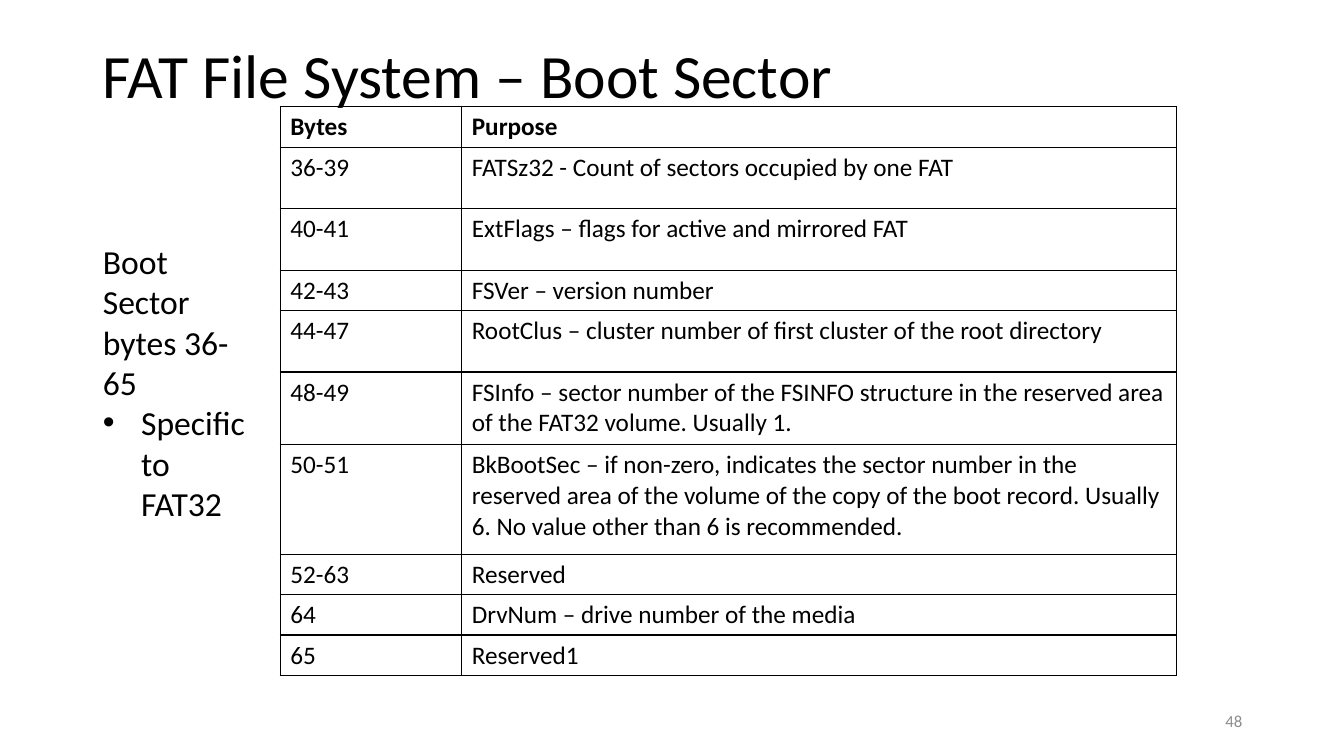
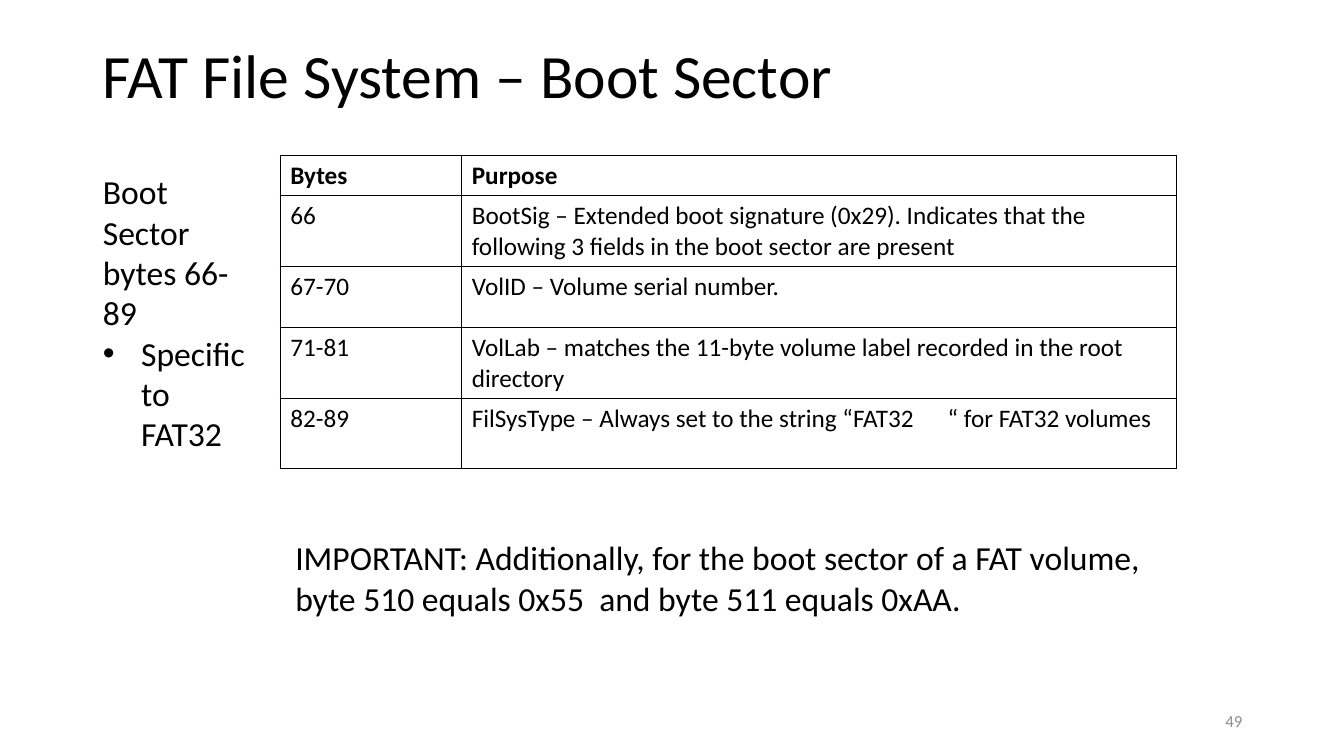
import pptx
import pptx.dml.color
import pptx.enum.text
import pptx.oxml.ns
import pptx.util
from lxml import etree

BLACK = pptx.dml.color.RGBColor(0x00, 0x00, 0x00)
GRAY = pptx.dml.color.RGBColor(0x8C, 0x8C, 0x8C)
PX = 9144
ALIGN = pptx.enum.text.PP_ALIGN
ANCHOR = pptx.enum.text.MSO_ANCHOR
FIT = pptx.enum.text.MSO_AUTO_SIZE
COLS = (180, 709)
HEAD = ("Bytes", "Purpose")


def px(num):
    return pptx.util.Emu(num * PX)


def tag(root, name, **attrs):
    return etree.SubElement(root, pptx.oxml.ns.qn("a:" + name), attrs)


class Deck:
    """Holds the shared style and the slide being built."""

    def __init__(self):
        self.prs = pptx.Presentation()
        self.prs.slide_width = px(1333)
        self.prs.slide_height = px(750)
        self.slide = None

    def place(self, shape, box):
        for name, num in zip(("left", "top", "width", "height"), box):
            setattr(shape, name, px(num))

    def fill(self, frame, lines, size, color=BLACK, bold=False, **form):
        style = {"alignment": ALIGN.LEFT, "line_spacing": 1.0,
                 "space_before": pptx.util.Pt(0), **form}
        font = {"name": "Calibri", "size": pptx.util.Pt(size), "bold": bold}
        frame.text = "\n".join(lines)
        for para in frame.paragraphs:
            for name, value in style.items():
                setattr(para, name, value)
            for run in para.runs:
                for name, value in font.items():
                    setattr(run.font, name, value)
                run.font.color.rgb = color

    def frame(self, frame, anchor=ANCHOR.TOP, fit=FIT.NONE):
        style = {"word_wrap": True, "vertical_anchor": anchor, "auto_size": fit}
        for name, value in style.items():
            setattr(frame, name, value)

    def start(self, title, page):
        self.slide = self.prs.slides.add_slide(self.prs.slide_layouts[1])
        head = self.slide.shapes.title
        self.place(head, (92, 40, 1150, 145))
        self.frame(head.text_frame)
        self.fill(head.text_frame, [title], 44, line_spacing=0.9)
        self.text((942, 695, 300, 40), page, 12, GRAY, ANCHOR.MIDDLE,
                  alignment=ALIGN.RIGHT)

    def text(self, box, words, size, color=BLACK, anchor=ANCHOR.TOP, **form):
        frame = self.slide.shapes.add_textbox(*map(px, box)).text_frame
        self.frame(frame, anchor)
        self.fill(frame, [words], size, color, **form)

    def list(self, top, lead, point):
        body = self.slide.placeholders[1]
        self.place(body, (92, top, 168, 293))
        self.frame(body.text_frame, fit=FIT.SHAPE_TO_FIT_TEXT)
        self.fill(body.text_frame, [lead, point], 24)
        for para, dent in zip(body.text_frame.paragraphs, (0, 38)):
            props = para._p.get_or_add_pPr()
            props.set("marL", str(dent * PX))
            props.set("indent", str(-dent * PX))
            if dent:
                tag(props, "buFont", typeface="Arial")
                tag(props, "buChar", char="•")
            else:
                tag(props, "buNone")

    def border(self, cell):
        props = cell._tc.get_or_add_tcPr()
        for side in ("lnL", "lnR", "lnT", "lnB"):
            line = tag(props, side, w=str(pptx.util.Pt(1)))
            tag(tag(line, "solidFill"), "srgbClr", val=str(BLACK))

    def table(self, top, highs, rows):
        rows = [HEAD, *rows]
        box = (278, top, sum(COLS), sum(highs))
        grid = self.slide.shapes.add_table(
            len(rows), len(COLS), *map(px, box)).table
        grid.first_row = grid.horz_banding = False
        for col, wide in zip(grid.columns, COLS):
            col.width = px(wide)
        for row, high, words in zip(grid.rows, highs, rows):
            row.height = px(high)
            for cell, word in zip(row.cells, words):
                self.border(cell)
                cell.fill.background()
                self.fill(cell.text_frame, [word], 18, bold=words is HEAD)


def main():
    title = "FAT File System – Boot Sector"
    point = "Specific to FAT32"
    deck = Deck()

    deck.start(title, "48")
    deck.list(234, "Boot Sector bytes 36-65", point)
    deck.table(106, (40, 61, 61, 40, 61, 72, 109, 40, 40, 40), [
        ("36-39", "FATSz32 - Count of sectors occupied by one FAT"),
        ("40-41", "ExtFlags – flags for active and mirrored FAT"),
        ("42-43", "FSVer – version number"),
        ("44-47", "RootClus – cluster number of first cluster of the root "
                  "directory"),
        ("48-49", "FSInfo – sector number of the FSINFO structure in the "
                  "reserved area of the FAT32 volume. Usually 1."),
        ("50-51", "BkBootSec – if non-zero, indicates the sector number in "
                  "the reserved area of the volume of the copy of the boot "
                  "record. Usually 6. No value other than 6 is recommended."),
        ("52-63", "Reserved"),
        ("64", "DrvNum – drive number of the media"),
        ("65", "Reserved1"),
    ])

    deck.start(title, "49")
    deck.list(165, "Boot Sector bytes 66-89", point)
    deck.table(154, (40, 70, 61, 70, 70), [
        ("66", "BootSig – Extended boot signature (0x29). Indicates that the "
               "following 3 fields in the boot sector are present"),
        ("67-70", "VolID – Volume serial number."),
        ("71-81", "VolLab – matches the 11-byte volume label recorded in the "
                  "root directory"),
        ("82-89", "FilSysType – Always set to the string “FAT32      “ for "
                  "FAT32 volumes"),
    ])
    deck.text((283, 528, 885, 91),
              "IMPORTANT: Additionally, for the boot sector of a FAT volume, "
              "byte 510 equals 0x55  and byte 511 equals 0xAA.", 24)

    deck.prs.save("out.pptx")


if __name__ == "__main__":
    main()
